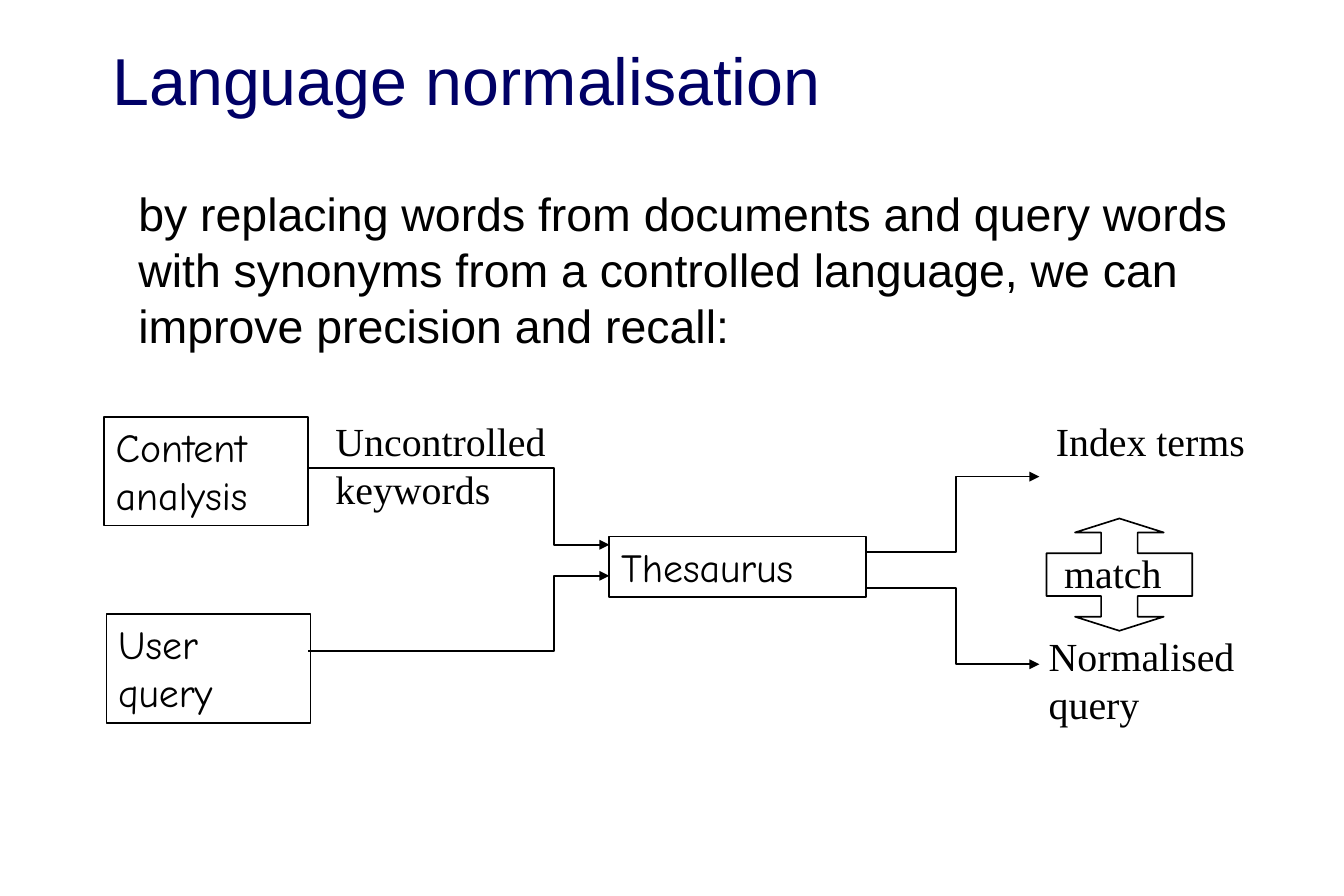
from pptx import Presentation
from pptx.dml.color import RGBColor
from pptx.enum.shapes import MSO_SHAPE
from pptx.enum.text import MSO_ANCHOR, MSO_AUTO_SIZE, PP_ALIGN
from pptx.oxml.ns import qn
from pptx.util import Pt
from lxml import etree

PX = 9144
RECTANGLE = MSO_SHAPE.RECTANGLE
CALLOUT = MSO_SHAPE.UP_DOWN_ARROW_CALLOUT
TOP, MIDDLE = MSO_ANCHOR.TOP, MSO_ANCHOR.MIDDLE
LEFT = PP_ALIGN.LEFT
NO_AUTOFIT = MSO_AUTO_SIZE.NONE

BLACK, NAVY = "000000", "000066"
TITLE = {"name": "Arial", "size": Pt(40)}
STATEMENT = {"name": "Arial", "size": Pt(28)}
PROCESS = {"name": "Comic Neue", "size": Pt(24)}
LABEL = {"name": "Times New Roman", "size": Pt(24)}

PROCESSES = [
    ("Content analysis", (0, 5, 171, 91)),
    ("Thesaurus", (423, 105, 215, 51)),
    ("User query", (2, 170, 171, 91)),
]
LABELS = [
    ("Uncontrolled keywords", (184, 0, 293, 90)),
    ("Index terms", (787, 0, 196, 90)),
    ("Normalised query", (781, 180, 203, 90)),
    ("match", (794, 110, 141, 50)),
]
INPUT_X, OUTPUT_X = (171, 377, 423), (638, 713, 783)
FLOWS = [
    (INPUT_X, 48, 112),
    (INPUT_X, 201, 138),
    (OUTPUT_X, 118, 55),
    (OUTPUT_X, 148, 212),
]
MATCH_BOX = (789, 90, 122, 94)
MATCH_ADJUSTMENTS = (0.325, 0.395, 0.125, 0.381)


def color(value):
    """Turn a hex string into a colour."""
    return RGBColor.from_string(value)


def scaled(box):
    """Turn a box in px into EMU."""
    return [length * PX for length in box]


def within(region, box):
    """Move a box by the corner of its region."""
    return (region[0] + box[0], region[1] + box[1], box[2], box[3])


def write(shape, text, font_values, font_color=BLACK, anchor=TOP):
    """Put one left-aligned paragraph in a shape."""
    frame = shape.text_frame
    frame_values = {"word_wrap": True, "auto_size": NO_AUTOFIT, "vertical_anchor": anchor}
    for name, value in frame_values.items():
        setattr(frame, name, value)
    paragraph = frame.paragraphs[0]
    paragraph.alignment = LEFT
    run = paragraph.add_run()
    run.text = text
    for name, value in font_values.items():
        setattr(run.font, name, value)
    run.font.color.rgb = color(font_color)


def outline(shape):
    """Leave a shape with only a thin black line."""
    shape.shadow.inherit = False
    shape.fill.background()
    shape.line.color.rgb = color(BLACK)
    shape.line.width = Pt(1)


def add_label(slide, box, text, font_values):
    """Add a wrapped text box."""
    write(slide.shapes.add_textbox(*scaled(box)), text, font_values)


def add_process(slide, box, text):
    """Add an outlined process box."""
    shape = slide.shapes.add_shape(RECTANGLE, *scaled(box))
    outline(shape)
    write(shape, text, PROCESS)


def add_flow(slide, region, columns, start_y, end_y):
    """Add a stepped arrow that turns at the middle column."""
    left, top = region[:2]
    start_x, turn_x, end_x = [left + column for column in columns]
    start_y, end_y = top + start_y, top + end_y
    builder = slide.shapes.build_freeform(start_x, start_y, scale=PX)
    corners = [(turn_x, start_y), (turn_x, end_y), (end_x, end_y)]
    builder.add_line_segments(corners, close=False)
    shape = builder.convert_to_shape()
    outline(shape)
    line = shape.line._get_or_add_ln()
    etree.SubElement(line, qn("a:tailEnd"), type="triangle")


def add_title(slide, box):
    """Place and fill the title placeholder."""
    title = slide.shapes.title
    for name, value in zip(("left", "top", "width", "height"), scaled(box)):
        setattr(title, name, value)
    write(title, "Language normalisation", TITLE, NAVY, MIDDLE)


def add_statement(slide, box):
    """Add the sentence above the diagram."""
    text = (
        "by replacing words from documents and query words with synonyms "
        "from a controlled language, we can improve precision and recall:"
    )
    add_label(slide, box, text, STATEMENT)


def add_diagram(slide, region):
    """Draw the route from content and query to matched terms."""
    for text, box in PROCESSES:
        add_process(slide, within(region, box), text)
    for text, box in LABELS:
        add_label(slide, within(region, box), text, LABEL)
    for columns, start_y, end_y in FLOWS:
        add_flow(slide, region, columns, start_y, end_y)
    callout = slide.shapes.add_shape(CALLOUT, *scaled(within(region, MATCH_BOX)))
    outline(callout)
    for index, value in enumerate(MATCH_ADJUSTMENTS):
        callout.adjustments[index] = value


def main():
    """Build and save the presentation."""
    presentation = Presentation()
    presentation.slide_width, presentation.slide_height = scaled((1125, 750))
    slide = presentation.slides.add_slide(presentation.slide_layouts[5])
    add_title(slide, (84, 33, 956, 67))
    add_statement(slide, (106, 150, 944, 150))
    add_diagram(slide, (87, 344, 984, 270))
    presentation.save("out.pptx")


if __name__ == "__main__":
    main()
